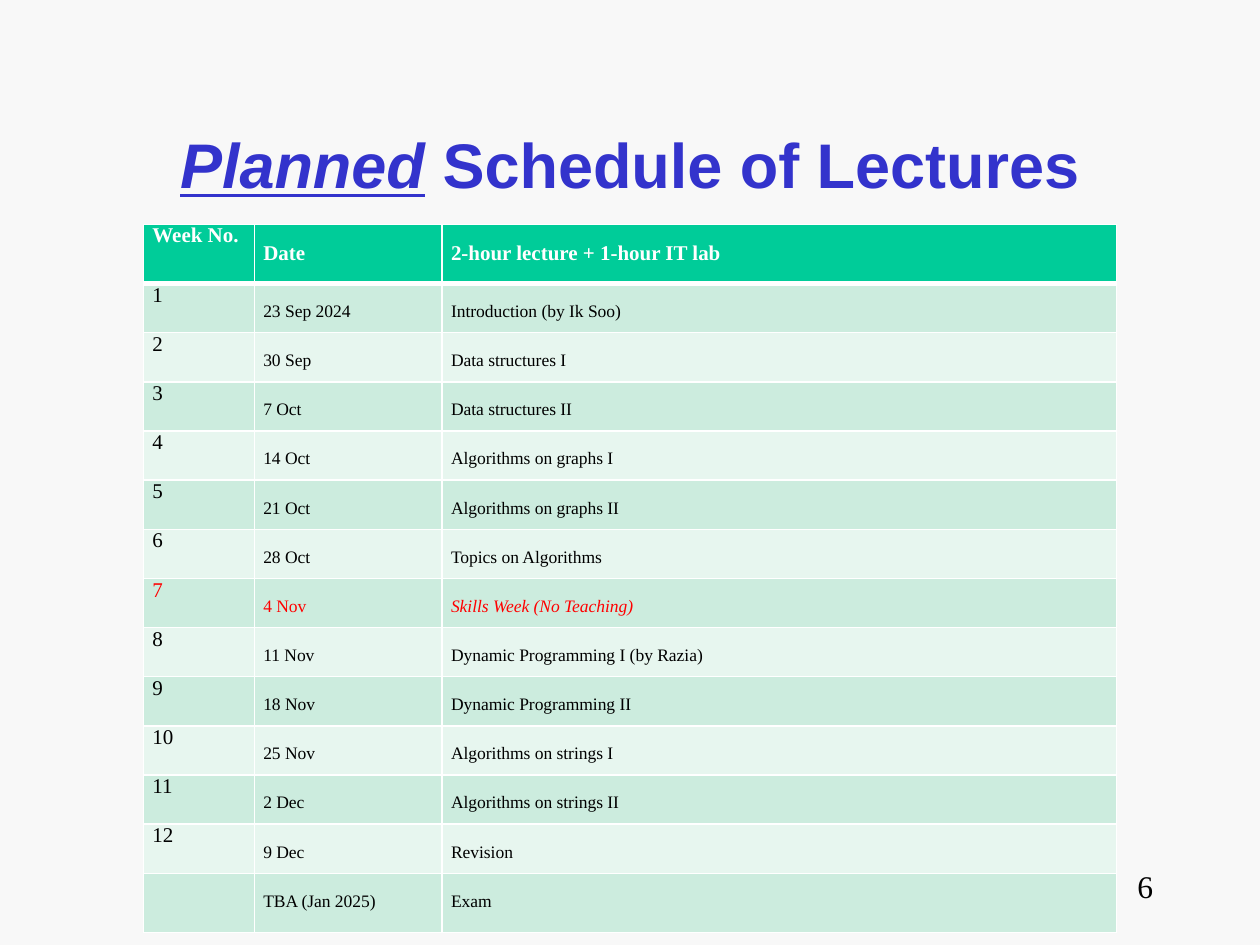
from lxml import etree
from pptx import Presentation
from pptx.dml.color import RGBColor
from pptx.enum.text import MSO_ANCHOR, MSO_AUTO_SIZE, PP_ALIGN
from pptx.oxml.ns import qn
from pptx.util import Inches, Pt

TOP, MIDDLE = MSO_ANCHOR.TOP, MSO_ANCHOR.MIDDLE
CENTER, RIGHT = PP_ALIGN.CENTER, PP_ALIGN.RIGHT
NO_AUTOFIT = MSO_AUTO_SIZE.NONE
TITLE_ONLY = 5

COLORS = {
    "background": "F8F8F8",
    "title": "3333CC",
    "header": "00CC99",
    "odd": "CCECDE",
    "even": "E7F6EF",
    "white": "FFFFFF",
    "text": "000000",
    "skills": "FF0000",
}
SANS, SERIF = "Arial", "Times New Roman"
HEADINGS = ("Week No.", "Date", "2-hour lecture + 1-hour IT lab")
SKILLS_WEEK = "7"
LECTURES = [
    ("1", "23 Sep 2024", "Introduction (by Ik Soo)"),
    ("2", "30 Sep", "Data structures I"),
    ("3", "7 Oct", "Data structures II"),
    ("4", "14 Oct", "Algorithms on graphs I"),
    ("5", "21 Oct", "Algorithms on graphs II"),
    ("6", "28 Oct", "Topics on Algorithms"),
    (SKILLS_WEEK, "4 Nov", "Skills Week (No Teaching)"),
    ("8", "11 Nov", "Dynamic Programming I (by Razia)"),
    ("9", "18 Nov", "Dynamic Programming II"),
    ("10", "25 Nov", "Algorithms on strings I"),
    ("11", "2 Dec", "Algorithms on strings II"),
    ("12", "9 Dec", "Revision"),
    ("", "TBA (Jan 2025)", "Exam"),
]


def rgb(name):
    """Return the named colour."""
    return RGBColor.from_string(COLORS[name])


def add_run(paragraph, text, size, font, color, bold=False, italic=False, underline=False):
    """Append one formatted run to a paragraph."""
    run = paragraph.add_run()
    run.text = text
    run.font.name, run.font.size = font, Pt(size)
    run.font.bold, run.font.italic, run.font.underline = bold, italic, underline
    run.font.color.rgb = rgb(color)


def set_borders(cell, top, bottom):
    """Draw white cell borders with the given top and bottom widths in points."""
    properties = cell._tc.get_or_add_tcPr()
    widths = {"a:lnL": 1, "a:lnR": 1, "a:lnT": top, "a:lnB": bottom}
    for position, (tag, width) in enumerate(widths.items()):
        border = etree.Element(qn(tag), w=str(Pt(width)))
        fill = etree.SubElement(border, qn("a:solidFill"))
        etree.SubElement(fill, qn("a:srgbClr"), val=COLORS["white"])
        properties.insert(position, border)


def format_cell(cell, fill, anchor, vertical_margin):
    """Set the fill, anchor and margins of a table cell."""
    cell.fill.solid()
    cell.fill.fore_color.rgb = rgb(fill)
    cell.vertical_anchor = anchor
    cell.margin_left = cell.margin_right = Inches(0.07)
    cell.margin_top = cell.margin_bottom = Inches(vertical_margin)


def add_title(slide, left, top, width, height):
    """Place the slide title in its box."""
    title = slide.shapes.title
    title.left, title.top, title.width, title.height = left, top, width, height
    frame = title.text_frame
    frame.auto_size, frame.vertical_anchor = NO_AUTOFIT, MIDDLE
    heading = frame.paragraphs[0]
    heading.alignment = CENTER
    add_run(heading, "Planned", 36, SANS, "title", True, True, True)
    add_run(heading, " Schedule of Lectures", 36, SANS, "title", True)


def add_header(schedule):
    """Fill the heading row of the schedule."""
    for column, heading in enumerate(HEADINGS):
        cell = schedule.cell(0, column)
        format_cell(cell, "header", MIDDLE if column else TOP, 0)
        set_borders(cell, 1, 3)
        add_run(cell.text_frame.paragraphs[0], heading, 12, SERIF, "white", True)


def add_lecture(schedule, row, lecture):
    """Fill one week of the schedule."""
    skills = lecture[0] == SKILLS_WEEK
    color = "skills" if skills else "text"
    for column, entry in enumerate(lecture):
        cell = schedule.cell(row, column)
        format_cell(cell, "odd" if row % 2 else "even", TOP, 0.07 if column else 0)
        set_borders(cell, 3 if row == 1 else 1, 1)
        paragraph = cell.text_frame.paragraphs[0]
        if column:
            paragraph.line_spacing = 1.5
        if entry:
            add_run(paragraph, entry, 10 if column else 12, SERIF, color,
                    italic=skills and column == 2)


def add_schedule(slide, left, top, width, height):
    """Place the lecture table in its box."""
    count = len(LECTURES) + 1
    schedule = slide.shapes.add_table(count, len(HEADINGS), left, top, width, height).table
    schedule.horz_banding = False
    week, date = Inches(0.88), Inches(1.49)
    for column, size in zip(schedule.columns, (week, date, width - week - date)):
        column.width = size
    end_row = Inches(0.47)
    for index, row in enumerate(schedule.rows):
        at_end = index in (0, count - 1)
        row.height = end_row if at_end else (height - 2 * end_row) // (count - 2)
    add_header(schedule)
    for row, lecture in enumerate(LECTURES, 1):
        add_lecture(schedule, row, lecture)


def add_page_number(slide, left, top, width, height):
    """Place the page number in its box."""
    frame = slide.shapes.add_textbox(left, top, width, height).text_frame
    frame.word_wrap = True
    number = frame.paragraphs[0]
    number.alignment = RIGHT
    add_run(number, "6", 18, SERIF, "text")


def main():
    """Build and save the slide."""
    deck = Presentation()
    deck.slide_width, deck.slide_height = Inches(10), Inches(7.5)
    slide = deck.slides.add_slide(deck.slide_layouts[TITLE_ONLY])
    slide.background.fill.solid()
    slide.background.fill.fore_color.rgb = rgb("background")
    add_title(slide, Inches(0.75), Inches(0.67), Inches(8.5), Inches(1.25))
    add_page_number(slide, Inches(7.17), Inches(6.83), Inches(2.08), Inches(0.5))
    add_schedule(slide, Inches(1.14), Inches(1.78), Inches(7.72), Inches(5.57))
    deck.save("out.pptx")


if __name__ == "__main__":
    main()
